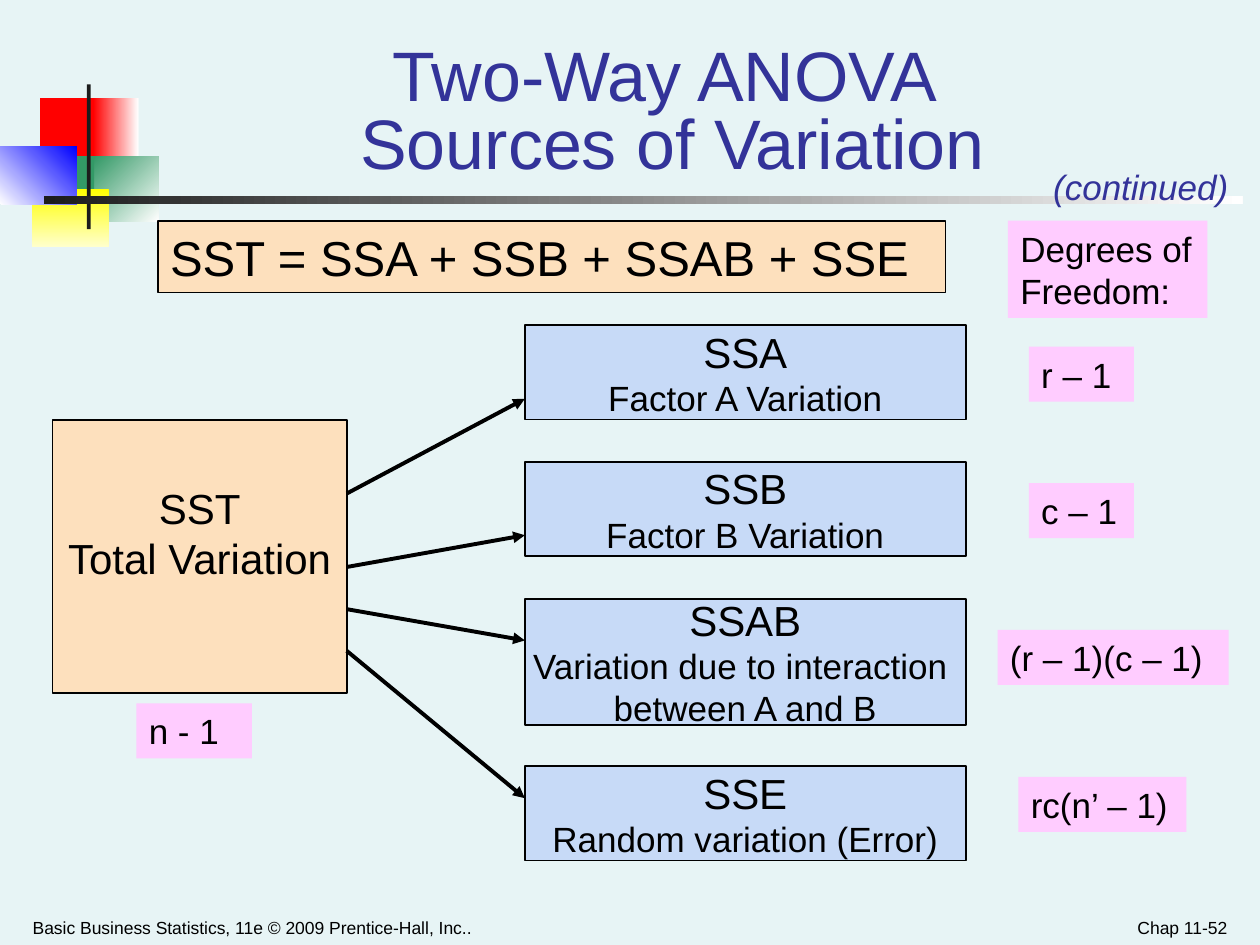
from lxml.etree import SubElement
from pptx import Presentation
from pptx.dml.color import RGBColor
from pptx.enum.shapes import MSO_CONNECTOR as Connector, MSO_SHAPE as Shape
from pptx.enum.text import MSO_ANCHOR as Anchor, PP_ALIGN as Align
from pptx.oxml.ns import qn
from pptx.util import Cm, Pt

FONT = "Arial"
COLORS = {
    "background": "E7F4F5", "black": "000000", "white": "FFFFFF",
    "title": "333399", "peach": "FDE0BD", "sky": "C7DAF7", "pink": "FFCCFF",
    "red": "FF0000", "green": "339966", "yellow": "FFFF00", "cream": "FFFFCC",
    "blue": "0000FF", "charcoal": "1C1C1C",
}

# Corner ornament: left, top, width, height, colours, clockwise gradient angle
ORNAMENT = [
    (0.81, 1.98, 1.22, 1.32, ["red"], 0),
    (1.88, 1.98, 0.91, 1.32, ["red", "white"], 0),
    (1.9, 3.15, 1.3, 1.32, ["green", "white"], 45),
    (1.09, 3.15, 0.81, 1.32, ["green"], 0),
    (0.64, 3.81, 1.55, 1.17, ["yellow", "cream"], 90),
    (0, 2.95, 1.55, 1.17, ["white", "blue"], 315),
    (1.75, 1.7, 0.08, 2.92, ["charcoal"], 0),
    (0.89, 3.96, 24.16, 0.15, ["charcoal", "white"], 0),
]

TOTAL = ["SST", "Total Variation"]
TOTAL_AREA = (1.06, 8.47, 5.93, 5.5)
EQUATION = "SST = SSA + SSB + SSAB + SSE"

# Sources: lines, box top, box height, arrow start, arrow end
SOURCE_LEFT, SOURCE_WIDTH = 10.58, 8.89
SOURCES = [
    (["SSA", "Factor A Variation"], 6.56, 1.9, 9.95, 8.04),
    (["SSB", "Factor B Variation"], 9.31, 1.9, 11.43, 10.79),
    (["SSAB", "Variation due to interaction ", "between A and B"],
     12.07, 2.54, 12.28, 12.91),
    (["SSE", "Random variation (Error)"], 15.45, 1.9, 13.12, 16.09),
]

# Degrees of freedom: text, left, top, width, height
FREEDOM = [
    ("Degrees of Freedom:", 20.32, 4.45, 4.02, 1.96),
    ("r – 1", 20.74, 6.99, 2.12, 1.11),
    ("c – 1", 20.74, 9.74, 2.12, 1.11),
    ("(r – 1)(c – 1)", 20.11, 12.7, 4.66, 1.11),
    ("rc(n’ – 1)", 20.53, 15.66, 3.39, 1.11),
    ("n - 1", 2.75, 14.18, 2.33, 1.11),
]


def color(name):
    return RGBColor.from_string(COLORS[name])


def add_rectangle(page, area, fills, angle=0, outline=False):
    box = page.shapes.add_shape(Shape.RECTANGLE, *map(Cm, area))
    box.shadow.inherit = False
    if len(fills) == 1:
        box.fill.solid()
        box.fill.fore_color.rgb = color(fills[0])
    else:
        box.fill.gradient()
        box.fill.gradient_angle = (360 - angle) % 360
        for stop, name in zip(box.fill.gradient_stops, fills):
            stop.color.rgb = color(name)
    if outline:
        box.line.color.rgb = color("black")
        box.line.width = Pt(1)
    else:
        box.line.fill.background()
    return box


def write(box, lines, sizes, ink="black", align=Align.LEFT, anchor=Anchor.TOP,
          wrap=True, italic=False, side=0.25):
    """Fill a box; the last size serves all remaining lines."""
    frame = box.text_frame
    frame.text = "\n".join(lines)
    frame.word_wrap = wrap
    frame.vertical_anchor = anchor
    frame.margin_left = frame.margin_right = Cm(side)
    frame.margin_top = frame.margin_bottom = Cm(0.13)
    for index, para in enumerate(frame.paragraphs):
        para.alignment = align
        for span in para.runs:
            span.font.name = FONT
            span.font.size = Pt(sizes[min(index, len(sizes) - 1)])
            span.font.italic = italic
            span.font.color.rgb = color(ink)
    return frame


def add_label(page, area, text, size, **style):
    box = page.shapes.add_textbox(*map(Cm, area))
    return write(box, [text], [size], **style)


def add_arrow(page, start, end):
    arrow = page.shapes.add_connector(Connector.STRAIGHT, *map(Cm, start + end))
    arrow.line.color.rgb = color("black")
    arrow.line.width = Pt(2.25)
    SubElement(arrow.line._get_or_add_ln(), qn("a:tailEnd"), type="triangle")
    SubElement(arrow._element.spPr, qn("a:effectLst"))


def main():
    deck = Presentation()
    deck.slide_width, deck.slide_height = Cm(25.4), Cm(19.05)
    page = deck.slides.add_slide(deck.slide_layouts[6])
    page.background.fill.solid()
    page.background.fill.fore_color.rgb = color("background")

    # Ornament and rule
    for *area, fills, angle in ORNAMENT:
        add_rectangle(page, area, fills, angle)

    # Footer and title
    add_label(page, (0.43, 18.16, 12.9, 0.89),
              "Basic Business Statistics, 11e © 2009 Prentice-Hall, Inc..", 10,
              anchor=Anchor.BOTTOM, side=0.23)
    add_label(page, (19.05, 18.16, 5.92, 0.89), "Chap 11-52", 10,
              align=Align.RIGHT, anchor=Anchor.BOTTOM, side=0.23)
    title = add_label(page, (2.74, 1.27, 21.64, 2.54),
                      "Two-Way ANOVA \vSources of Variation", 40, ink="title",
                      align=Align.CENTER, anchor=Anchor.BOTTOM, side=0.23)
    title.paragraphs[0].line_spacing = 0.8

    # Total variation, its text raised by one line
    box = add_rectangle(page, TOTAL_AREA, ["peach"], outline=True)
    frame = write(box, TOTAL, [24], align=Align.CENTER, anchor=Anchor.MIDDLE,
                  wrap=False)
    frame.margin_bottom = Cm(1.1)

    # Sources of variation
    for lines, top, height, start, end in SOURCES:
        area = (SOURCE_LEFT, top, SOURCE_WIDTH, height)
        box = add_rectangle(page, area, ["sky"], outline=True)
        write(box, lines, [24, 20], align=Align.CENTER, anchor=Anchor.MIDDLE,
              wrap=False)
        total_right = TOTAL_AREA[0] + TOTAL_AREA[2]
        add_arrow(page, (total_right, start), (SOURCE_LEFT, end))

    # Degrees of freedom
    for text, *area in FREEDOM:
        write(add_rectangle(page, area, ["pink"]), [text], [20])

    # Equation and continuation mark
    box = add_rectangle(page, (3.18, 4.45, 15.88, 1.45), ["peach"], outline=True)
    write(box, [EQUATION], [28])
    add_label(page, (20.98, 3.2, 4.04, 1.11), "(continued)", 20, ink="title",
              wrap=False, italic=True)

    deck.save("out.pptx")


if __name__ == "__main__":
    main()
